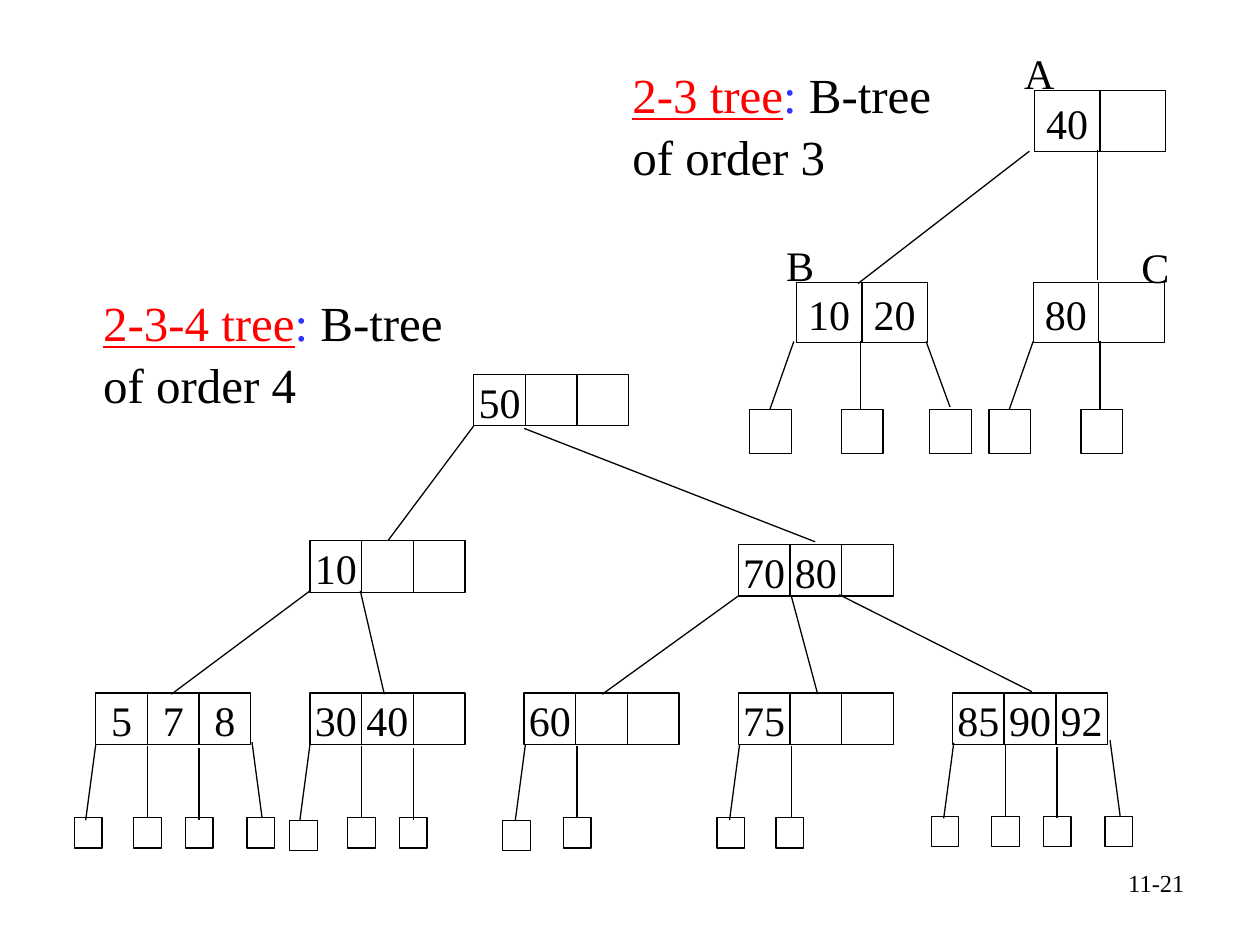
from lxml import etree
from pptx import Presentation
from pptx import util as u
from pptx.dml.color import RGBColor
from pptx.enum import shapes, text
from pptx.oxml.ns import qn

Inches, Pt = u.Inches, u.Pt
COLORS = {"ink": "000000", "term": "FF0000", "colon": "3333FF"}
FONT = "Times New Roman"


def style_text(sp, runs, size, align):
    """Fill a shape with one paragraph made of (text, colour, underline) runs."""
    p = sp.text_frame.paragraphs[0]
    p.alignment = align
    p.line_spacing = 1.05
    for words, color, underline in runs:
        r = p.add_run()
        r.text = words
        r.font.name, r.font.size = FONT, Pt(size)
        r.font.underline = underline
        r.font.color.rgb = RGBColor.from_string(COLORS[color])


def add_box(group, x, y, w, h, label=""):
    """Draw an outlined key cell or an external node."""
    sp = group.shapes.add_shape(shapes.MSO_SHAPE.RECTANGLE,
                                Inches(x), Inches(y), Inches(w), Inches(h))
    sp.shadow.inherit = False
    sp.fill.background()
    sp.line.color.rgb = RGBColor.from_string(COLORS["ink"])
    sp.line.width = Pt(0.75)
    if label:
        sp.text_frame.word_wrap = False
        sp.text_frame.vertical_anchor = text.MSO_ANCHOR.MIDDLE
        style_text(sp, [(label, "ink", False)], 24, text.PP_ALIGN.CENTER)


prs = Presentation()
prs.slide_width, prs.slide_height = Inches(10), Inches(7.5)
s = prs.slides.add_slide(prs.slide_layouts[6])

# Each tree: cell size, nodes (x, y, keys), leaf size, leaves (y, x values), edges
tree_23 = {
    "cell": (0.52, 0.48),
    "nodes": [(8.21, 0.72, ["40", ""]),
              (6.32, 2.24, ["10", "20"]),
              (8.2, 2.24, ["80", ""])],
    "leaf": (0.33, 0.35),
    "leaves": [(3.25, [5.95, 6.68, 7.38, 7.85, 8.58])],
    "edges": [(8.17, 1.2, 6.81, 2.25), (8.71, 1.19, 8.71, 2.22),
              (6.3, 2.71, 6.11, 3.25), (6.83, 2.71, 6.83, 3.25),
              (7.35, 2.71, 7.54, 3.23),
              (8.2, 2.71, 8.01, 3.25), (8.73, 2.71, 8.73, 3.25)],
}
tree_234 = {
    "cell": (0.41, 0.41),
    "nodes": [(3.76, 2.97, ["50", "", ""]),
              (2.46, 4.29, ["10", "", ""]),
              (5.86, 4.32, ["70", "80", ""])],
    "leaf": (0.22, 0.24),
    "leaves": [(6.49, [0.59, 1.06, 1.47, 1.96, 2.76, 3.17, 4.47, 5.69, 6.16]),
               (6.51, [2.3, 3.99]),
               (6.48, [7.39, 7.87, 8.28, 8.77])],
    "edges": [(3.76, 3.38, 3.08, 4.29), (4.16, 3.4, 6.47, 4.3),
              (2.46, 4.69, 1.36, 5.51), (2.86, 4.69, 3.05, 5.51),
              (5.86, 4.73, 4.78, 5.51), (6.28, 4.73, 6.49, 5.51),
              (6.66, 4.72, 8.19, 5.49)],
}

# Bottom row of the 2-3-4 tree: equally spaced nodes
bottom_keys = [["5", "7", "8"], ["30", "40", ""], ["60", "", ""],
               ["75", "", ""], ["85", "90", "92"]]
for i, keys in enumerate(bottom_keys):
    tree_234["nodes"].append((0.76 + 1.7 * i, 5.5, keys))

# Edges to the leaves: the outer ones slant, the inner ones drop straight
for x, dy, count in [(0.76, 0, 4), (2.46, 0, 3), (4.17, 0, 2),
                     (5.87, 0, 2), (7.57, -0.015, 4)]:
    drops = [(0, 5.91, -0.08, 6.51), (0.41, 5.92, 0.41, 6.49),
             (0.82, 5.94, 0.82, 6.51), (1.24, 5.89, 1.32, 6.49)]
    for x1, y1, x2, y2 in drops[:count]:
        tree_234["edges"].append((x + x1, y1 + dy, x + x2, y2 + dy))

# Draw both trees
groups = []
for tree in (tree_23, tree_234):
    group = s.shapes.add_group_shape()
    groups.append(group)
    w, h = tree["cell"]
    for x, y, keys in tree["nodes"]:
        for i, key in enumerate(keys):
            add_box(group, x + i * w, y, w, h, key)
    for y, xs in tree["leaves"]:
        for x in xs:
            add_box(group, x, y, *tree["leaf"])
    for edge in tree["edges"]:
        c = group.shapes.add_connector(shapes.MSO_CONNECTOR.STRAIGHT,
                                       *[Inches(v) for v in edge])
        c.line.color.rgb = RGBColor.from_string(COLORS["ink"])
        c.line.width = Pt(0.75)
        etree.SubElement(c._element.spPr, qn("a:effectLst"))

# Node names, headings and page number
left, right = text.PP_ALIGN.LEFT, text.PP_ALIGN.RIGHT
labels = [(groups[0], (x, y, 0.43, 0.5), [(name, "ink", False)], 24, left)
          for name, x, y in [("A", 8.03, 0.31), ("B", 6.14, 1.83), ("C", 8.96, 1.85)]]
for term, order, box in [("2-3 tree", 3, (4.92, 0.44, 2.71, 1.04)),
                         ("2-3-4 tree", 4, (0.72, 2.25, 3.02, 1.04))]:
    runs = [(term, "term", True), (":", "colon", False),
            (f" B-tree of order {order}", "ink", False)]
    labels.append((s, box, runs, 28, left))
labels.append((s, (7.17, 6.83, 2.33, 0.52), [("11-21", "ink", False)], 14, right))

for parent, box, runs, size, align in labels:
    sp = parent.shapes.add_textbox(*[Inches(v) for v in box])
    sp.text_frame.word_wrap = True
    style_text(sp, runs, size, align)

prs.save("out.pptx")
